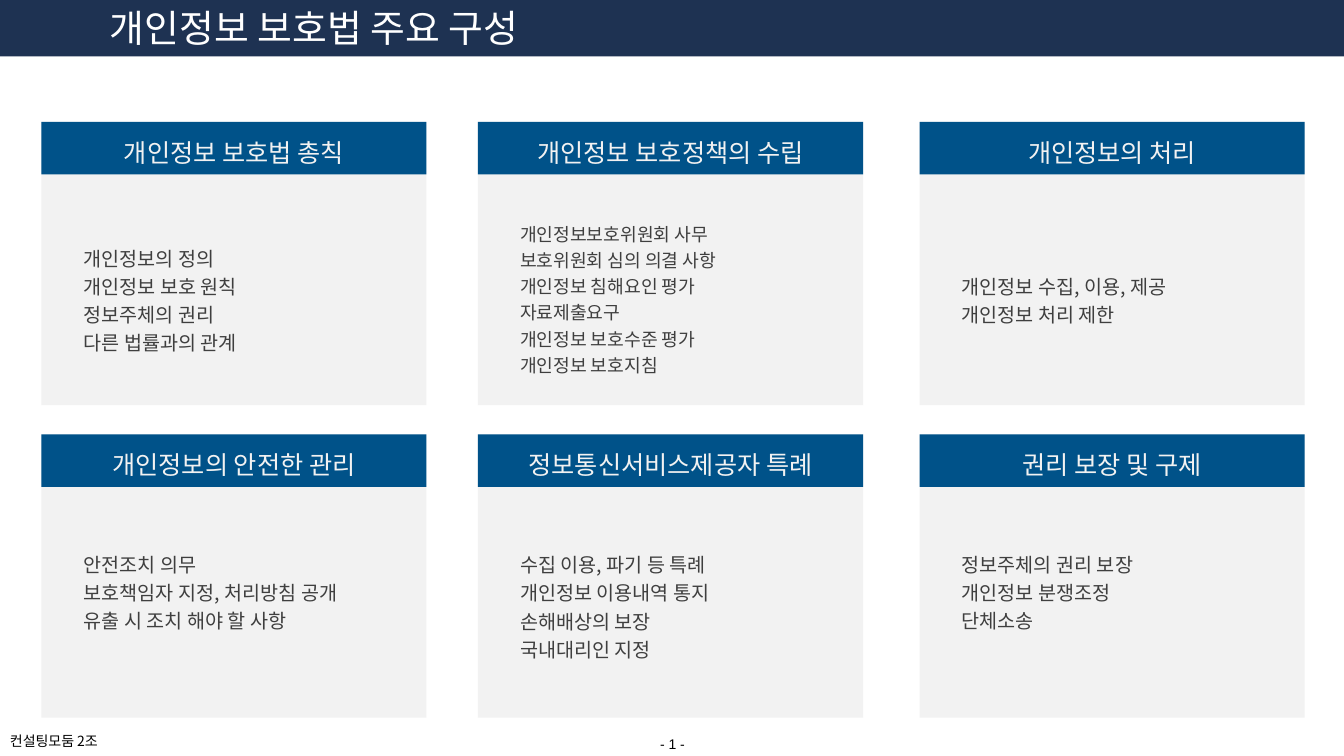
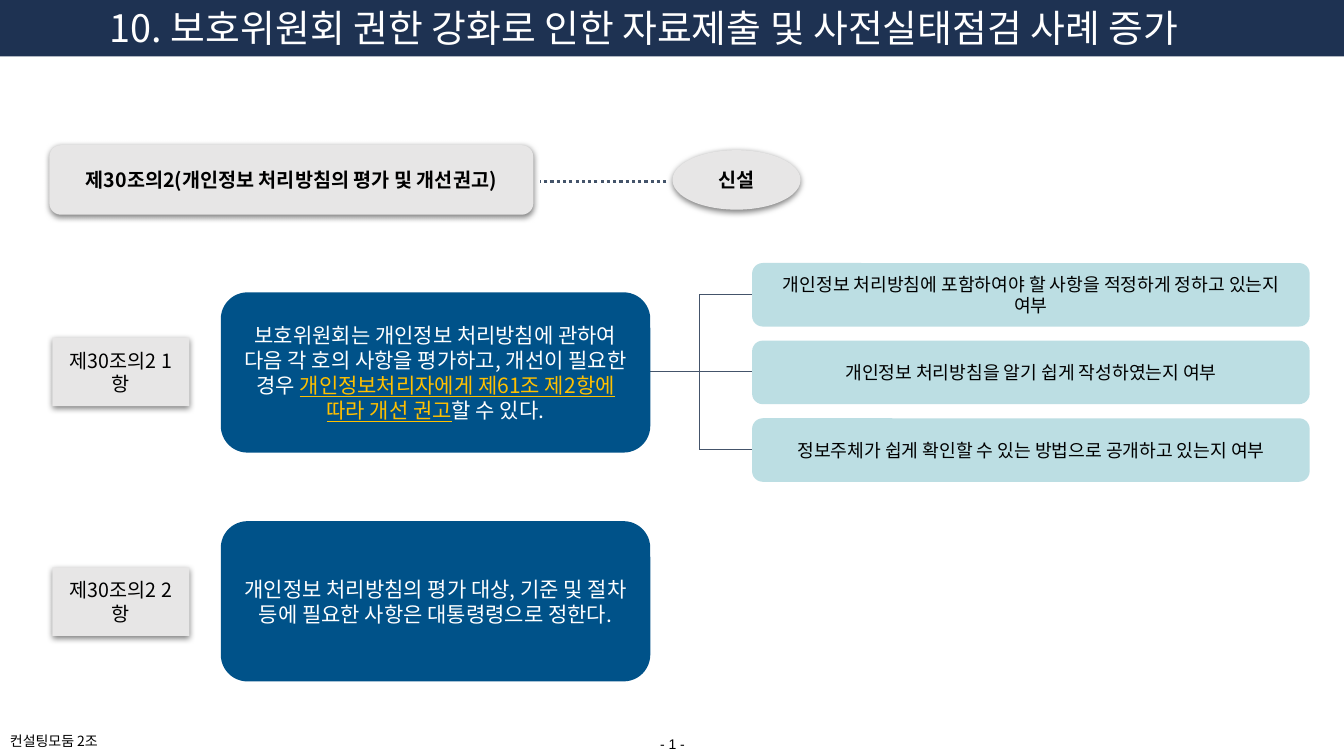
from pptx import Presentation
from pptx.dml.color import RGBColor
from pptx.enum.dml import MSO_LINE
from pptx.enum.shapes import MSO_CONNECTOR, MSO_SHAPE
from pptx.enum.text import MSO_ANCHOR, MSO_AUTO_SIZE, PP_ALIGN
from pptx.oxml import parse_xml
from pptx.oxml.ns import nsdecls, qn
from pptx.oxml.xmlchemy import OxmlElement
from pptx.util import Inches, Pt

RECT, ROUND, OVAL = MSO_SHAPE.RECTANGLE, MSO_SHAPE.ROUNDED_RECTANGLE, MSO_SHAPE.OVAL
LEFT, CENTER, JUSTIFY = PP_ALIGN.LEFT, PP_ALIGN.CENTER, PP_ALIGN.JUSTIFY
TOP, MIDDLE = MSO_ANCHOR.TOP, MSO_ANCHOR.MIDDLE
NO_FIT, STRAIGHT, DOTTED = MSO_AUTO_SIZE.NONE, MSO_CONNECTOR.STRAIGHT, MSO_LINE.ROUND_DOT


class Theme:
    korean, latin = "Noto Sans CJK KR", "Arial"
    navy, blue, aqua = "1E3252", "005289", "BCDEE3"
    panel, chip, line = "F2F2F2", "E7E6E6", "44546A"
    black, white, body, accent = "000000", "FFFFFF", "3F3F3F", "FFC000"
    title, heading, rule, text, item, small = 27, 18, 15, 14, 13, 10


def add_box(page, kind, place, fill=None, shadow=False):
    """Add a borderless shape, or a text box when kind is None."""
    place = [Inches(length) for length in place]
    if kind is None:
        return page.shapes.add_textbox(*place)
    box = page.shapes.add_shape(kind, *place)
    box.fill.solid()
    box.fill.fore_color.rgb = RGBColor.from_string(fill)
    box.line.fill.background()
    box.shadow.inherit = False
    if shadow:
        box.element.spPr.find(qn("a:effectLst")).append(parse_xml(
            f'<a:outerShdw {nsdecls("a")} blurRad="57150" dist="19050" dir="5400000"'
            ' algn="ctr" rotWithShape="0"><a:srgbClr val="000000">'
            '<a:alpha val="50000"/></a:srgbClr></a:outerShdw>'))
    return box


def write(box, lines, size, color, align=LEFT, anchor=TOP, top=0.05, bottom=0.05,
          spacing=1, bold=False, font=Theme.korean):
    """Write one paragraph per line; a line may be a list of (text, accented) spans."""
    frame = box.text_frame
    frame.word_wrap, frame.auto_size, frame.vertical_anchor = True, NO_FIT, anchor
    frame.margin_left = frame.margin_right = Inches(0.1)
    frame.margin_top, frame.margin_bottom = Inches(top), Inches(bottom)
    for index, line in enumerate(lines):
        para = frame.add_paragraph() if index else frame.paragraphs[0]
        para.alignment, para.line_spacing = align, spacing
        para.font.size, para.font.name, para.font.bold = Pt(size), font, bold
        para.font.color.rgb = RGBColor.from_string(color)
        for text, accented in [(line, False)] if isinstance(line, str) else line:
            span = para.add_run()
            span.text = text
            if accented:
                span.font.underline = True
                span.font.color.rgb = RGBColor.from_string(Theme.accent)


deck = Presentation()
deck.slide_width, deck.slide_height = Inches(13.33), Inches(7.5)

# Shared frame: footer, title band, title and page number
pages = []
for title_text in ("개인정보 보호법 주요 구성",
                   "10. 보호위원회 권한 강화로 인한 자료제출 및 사전실태점검 사례 증가"):
    page = deck.slides.add_slide(deck.slide_layouts[5])
    team = add_box(page, None, (0, 7.17, 1.41, 0.37))
    write(team, ["컨설팅모둠 2조"], Theme.small, Theme.black, top=0.1, bottom=0.1)
    add_box(page, RECT, (0, 0, 13.33, 0.56), Theme.navy)
    title = page.shapes.title
    title.left, title.top = Inches(0.99), Inches(0)
    title.width, title.height = Inches(11.57), Inches(0.56)
    write(title, [title_text], Theme.title, Theme.white)
    page.shapes.element.append(title.element)  # bring the title above the band
    number = add_box(page, None, (6.27, 7.25, 0.8, 0.29))
    write(number, ["- 1 -"], Theme.small, Theme.black, CENTER, font=Theme.latin)
    pages.append(page)
overview, case = pages

# Slide 1: six cards as heading, top of the text, type size, lines
cards = [
    ("개인정보 보호법 총칙", 2.35, Theme.text,
     ["개인정보의 정의", "개인정보 보호 원칙", "정보주체의 권리", "다른 법률과의 관계"]),
    ("개인정보 보호정책의 수립", 2.12, Theme.item,
     ["개인정보보호위원회 사무", "보호위원회 심의 의결 사항", "개인정보 침해요인 평가",
      "자료제출요구", "개인정보 보호수준 평가", "개인정보 보호지침"]),
    ("개인정보의 처리", 2.63, Theme.text,
     ["개인정보 수집, 이용, 제공", "개인정보 처리 제한"]),
    ("개인정보의 안전한 관리", 5.39, Theme.text,
     ["안전조치 의무", "보호책임자 지정, 처리방침 공개", "유출 시 조치 해야 할 사항"]),
    ("정보통신서비스제공자 특례", 5.39, Theme.text,
     ["수집 이용, 파기 등 특례", "개인정보 이용내역 통지", "손해배상의 보장",
      "국내대리인 지정"]),
    ("권리 보장 및 구제", 5.39, Theme.text,
     ["정보주체의 권리 보장", "개인정보 분쟁조정", "단체소송"]),
]
card_lefts, card_tops, card_width = (0.41, 4.74, 9.12), (1.21, 4.31), 3.82
for index, (heading, text_top, size, lines) in enumerate(cards):
    left, top = card_lefts[index % 3], card_tops[index // 3]
    add_box(overview, RECT, (left, top, card_width, 2.81), Theme.panel)
    band = add_box(overview, RECT, (left, top, card_width, 0.52), Theme.blue)
    write(band, [heading], Theme.heading, Theme.panel, CENTER, top=0.15, bottom=0)
    height = 0.1 + len(lines) * size / 52
    details = add_box(overview, None, (left + 0.32, text_top, 3.15, height))
    write(details, lines, size, Theme.body, JUSTIFY, spacing=1.2)

# Slide 2: connectors as x1, y1, x2, y2, width, dash
item_tops = [2.61 + 0.77 * row for row in range(3)]
first, middle, last = [top + 0.31 for top in item_tops]
for x1, y1, x2, y2, width, dash in (
        (6.61, 1.8, 5.36, 1.8, 2.25, DOTTED),
        (6.45, middle, 7.46, middle, 0.75, None),
        (7.46, first, 6.94, first, 0.75, None),
        (7.46, last, 6.94, last, 0.75, None),
        (6.94, first, 6.94, last, 0.75, None)):
    link = case.shapes.add_connector(STRAIGHT, Inches(x1), Inches(y1), Inches(x2), Inches(y2))
    link.line.color.rgb = RGBColor.from_string(Theme.line)
    link.line.width, link.line.dash_style = Pt(width), dash
    link.element.spPr.append(OxmlElement("a:effectLst"))

# Grey labels with a shadow: article, status and clause numbers
for kind, place, text, bold in (
        (ROUND, (0.49, 1.44, 4.8, 0.69), "제30조의2(개인정보 처리방침의 평가 및 개선권고)", True),
        (OVAL, (6.67, 1.49, 1.27, 0.59), "신설", True),
        (RECT, (0.52, 3.35, 1.36, 0.68), "제30조의2 1항", False),
        (RECT, (0.52, 5.63, 1.36, 0.68), "제30조의2 2항", False)):
    label = add_box(case, kind, place, Theme.chip, shadow=True)
    write(label, [text], Theme.text, Theme.black, CENTER, MIDDLE, 0.1, 0.1, bold=bold)

# Clause texts
clauses = [
    [("보호위원회는 개인정보 처리방침에 관하여 다음 각 호의 사항을 평가하고, 개선이 필요한 경우 ", False),
     ("개인정보처리자에게 제61조 제2항에 따라 개선 권고", True),
     ("할 수 있다.", False)],
    "개인정보 처리방침의 평가 대상, 기준 및 절차 등에 필요한 사항은 대통령령으로 정한다.",
]
for top, clause in zip((2.9, 5.17), clauses):
    box = add_box(case, ROUND, (2.19, top, 4.26, 1.59), Theme.blue)
    write(box, [clause], Theme.rule, Theme.white, CENTER, MIDDLE)

# Evaluation items
items = ["개인정보 처리방침에 포함하여야 할 사항을 적정하게 정하고 있는지 여부",
         "개인정보 처리방침을 알기 쉽게 작성하였는지 여부",
         "정보주체가 쉽게 확인할 수 있는 방법으로 공개하고 있는지 여부"]
for top, item in zip(item_tops, items):
    box = add_box(case, ROUND, (7.46, top, 5.53, 0.63), Theme.aqua)
    write(box, [item], Theme.item, Theme.black, CENTER, MIDDLE)

# Korean glyphs use the East Asian font slot
for page in pages:
    for latin in list(page.element.iter(qn("a:latin"))):
        east_asian = OxmlElement("a:ea")
        east_asian.set("typeface", latin.get("typeface"))
        latin.addnext(east_asian)

deck.save("out.pptx")
